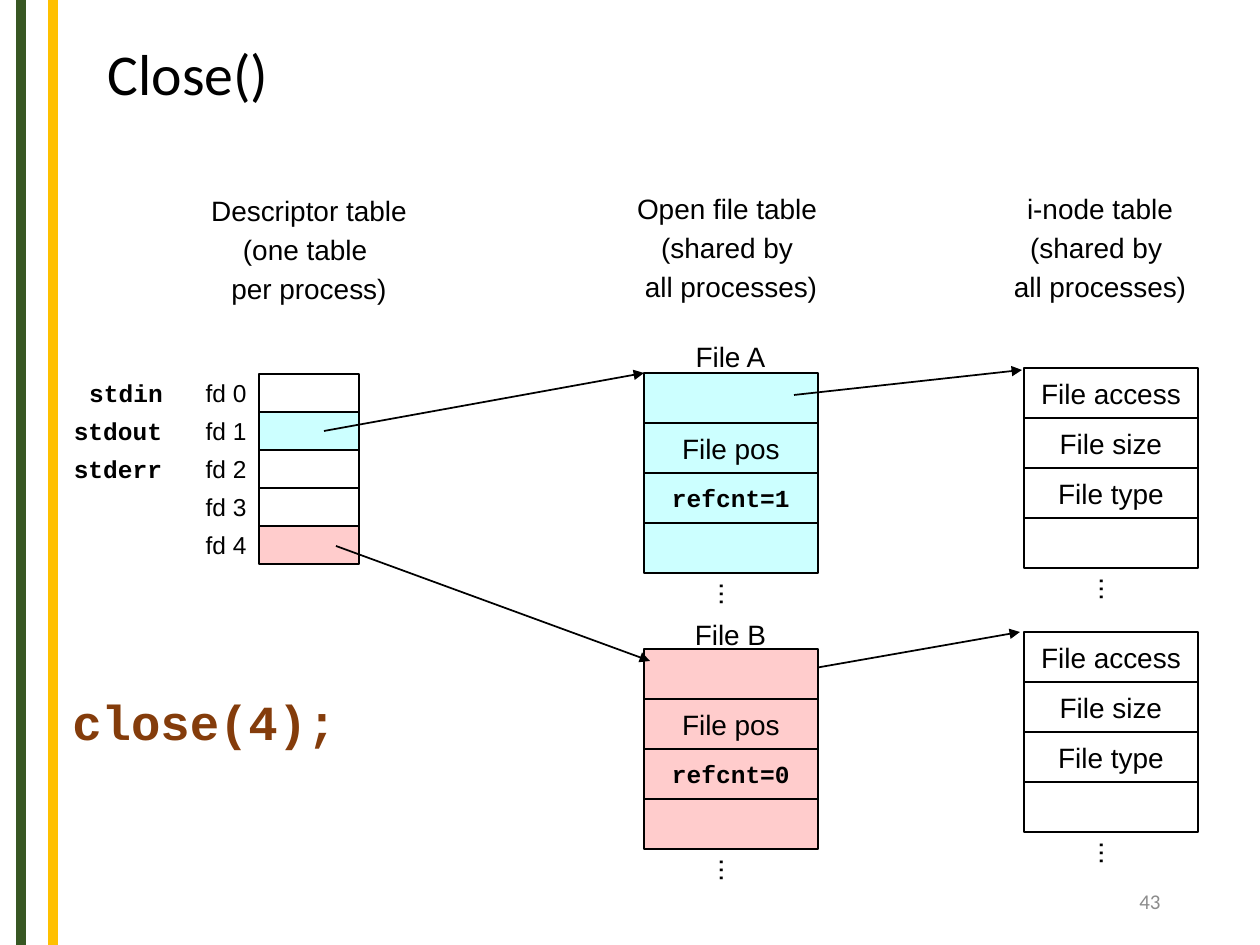
from lxml.etree import SubElement
from pptx import Presentation
from pptx.dml.color import RGBColor
from pptx.enum.shapes import MSO_CONNECTOR, MSO_SHAPE
from pptx.enum.text import MSO_ANCHOR as ANCHOR, MSO_AUTO_SIZE as FIT, PP_ALIGN as ALIGN
from pptx.oxml.ns import qn
from pptx.util import Emu, Pt

PX = 914400 / 126
BLACK = RGBColor(0x00, 0x00, 0x00)
GREEN = RGBColor(0x38, 0x57, 0x23)
GOLD = RGBColor(0xFF, 0xC0, 0x00)
CYAN = RGBColor(0xCC, 0xFF, 0xFF)
PINK = RGBColor(0xFF, 0xCC, 0xCC)
BROWN = RGBColor(0x84, 0x3C, 0x0B)
GREY = RGBColor(0x8C, 0x8C, 0x8C)

LABEL = dict(size=Pt(16), name="Arial", bold=False)
FD = dict(LABEL, size=Pt(14))
CODE = dict(size=Pt(14), name="Courier New", bold=True)
COMMAND = dict(CODE, size=Pt(28))

prs = Presentation()
prs.slide_width, prs.slide_height = Emu(round(1260 * PX)), Emu(round(945 * PX))
s = prs.slides.add_slide(prs.slide_layouts[5])


def add_box(x, y, w, h, text="", font=LABEL, color=BLACK, align=ALIGN.CENTER,
            anchor=ANCHOR.MIDDLE, outlined=False, fill=None, grow=False):
    """Add a text box, or an outlined rectangle, with unwrapped hanging-indent lines."""
    place = [Emu(round(v * PX)) for v in (x, y, w, h)]
    if outlined:
        sp = s.shapes.add_shape(MSO_SHAPE.RECTANGLE, *place)
        sp.shadow.inherit = False
        sp.line.color.rgb, sp.line.width = BLACK, Pt(1)
        if fill is None:
            sp.fill.background()
        else:
            sp.fill.solid()
            sp.fill.fore_color.rgb = fill
    else:
        sp = s.shapes.add_textbox(*place)
    if not text:
        return
    tf = sp.text_frame
    tf.word_wrap, tf.vertical_anchor = False, anchor
    tf.auto_size = FIT.SHAPE_TO_FIT_TEXT if grow else FIT.NONE
    if text == "...":
        tf._txBody.bodyPr.set("vert", "eaVert")
    for i, line in enumerate(text.split("\n")):
        p = tf.add_paragraph() if i else tf.paragraphs[0]
        p.alignment = align
        pPr = p._p.get_or_add_pPr()
        pPr.set("marL", "342900")
        pPr.set("indent", "-342900")
        SubElement(SubElement(pPr, qn("a:spcBef")), qn("a:spcPct")).set("val", "20000")
        r = p.add_run()
        r.text = line
        r.font.color.rgb = color
        for key, value in font.items():
            setattr(r.font, key, value)


def add_line(x1, y1, x2, y2, color=BLACK, width=1, arrow=True):
    ends = [Emu(round(v * PX)) for v in (x1, y1, x2, y2)]
    ln = s.shapes.add_connector(MSO_CONNECTOR.STRAIGHT, *ends)
    ln.line.color.rgb, ln.line.width = color, Pt(width)
    if arrow:
        SubElement(ln.line._get_or_add_ln(), qn("a:tailEnd")).set("type", "triangle")
    SubElement(ln._element.spPr, qn("a:effectLst"))


# Side stripes
for x, color in ((21, GREEN), (53, GOLD)):
    add_line(x, 0, x, 945, color, width=6, arrow=False)

# Title
title = s.shapes.title
title.left, title.top, title.width, title.height = [
    Emu(round(v * PX)) for v in (95, 2, 1071, 150)]
title.text_frame.text = "Close()"
title.text_frame.vertical_anchor = ANCHOR.MIDDLE
p = title.text_frame.paragraphs[0]
p.alignment, p.line_spacing = ALIGN.LEFT, 0.9
p.font.size, p.font.name, p.font.color.rgb = Pt(33), "Calibri", BLACK

# Column headings
for x, y, w, text in (
    (198, 186, 222, "Descriptor table\n(one table \nper process)"),
    (624, 184, 214, "Open file table \n(shared by \nall processes)"),
    (1001, 184, 198, "i-node table\n(shared by \nall processes)"),
):
    add_box(x, y, w, 127, text, grow=True)

# Descriptor table
for i, fill in enumerate((None, CYAN, None, None, PINK)):
    y = 374 + 38 * i
    add_box(259, y, 100, 38, outlined=True, fill=fill)
    add_box(160, y, 99, 38, f"fd {i}", FD, align=ALIGN.RIGHT)

# Standard stream names, each box wide enough for its one line
for i, (x, w, text) in enumerate(
        ((74, 104, "stdin"), (58, 120, "stdout"), (58, 120, "stderr"))):
    add_box(x, 372 + 38 * i, w, 42, text, CODE, grow=True)

# The link from file B starts behind its table
add_line(781, 674, 1020, 632)

# Open file table and i-node table
INODE = ("File access", "File size", "File type", "...")
for x, top, fill, rows in (
    (644, 373, CYAN, ("", "File pos", "refcnt=1", "...")),
    (644, 649, PINK, ("", "File pos", "refcnt=0", "...")),
    (1024, 368, None, INODE),
    (1024, 632, None, INODE),
):
    for i, text in enumerate(rows):
        font = CODE if text.startswith("refcnt") else LABEL
        add_box(x, top + 50 * i, 174, 50, text, font, outlined=True, fill=fill)
for y, text in ((333, "File A"), (611, "File B")):
    add_box(682, y, 97, 47, text, grow=True)

# Links between the tables
for ends in ((324, 431, 644, 373), (794, 395, 1022, 370), (336, 546, 650, 661)):
    add_line(*ends)

add_box(60, 685, 290, 72, "close(4);", COMMAND, BROWN, ALIGN.LEFT, ANCHOR.TOP, grow=True)

# Slide number
sp = s.shapes.add_textbox(*[Emu(round(v * PX)) for v in (890, 876, 283, 50)])
tf = sp.text_frame
tf.word_wrap, tf.vertical_anchor = True, ANCHOR.MIDDLE
tf.text = "43"
p = tf.paragraphs[0]
p.alignment = ALIGN.RIGHT
p.font.size, p.font.name, p.font.color.rgb = Pt(12), "Calibri", GREY

prs.save("out.pptx")
